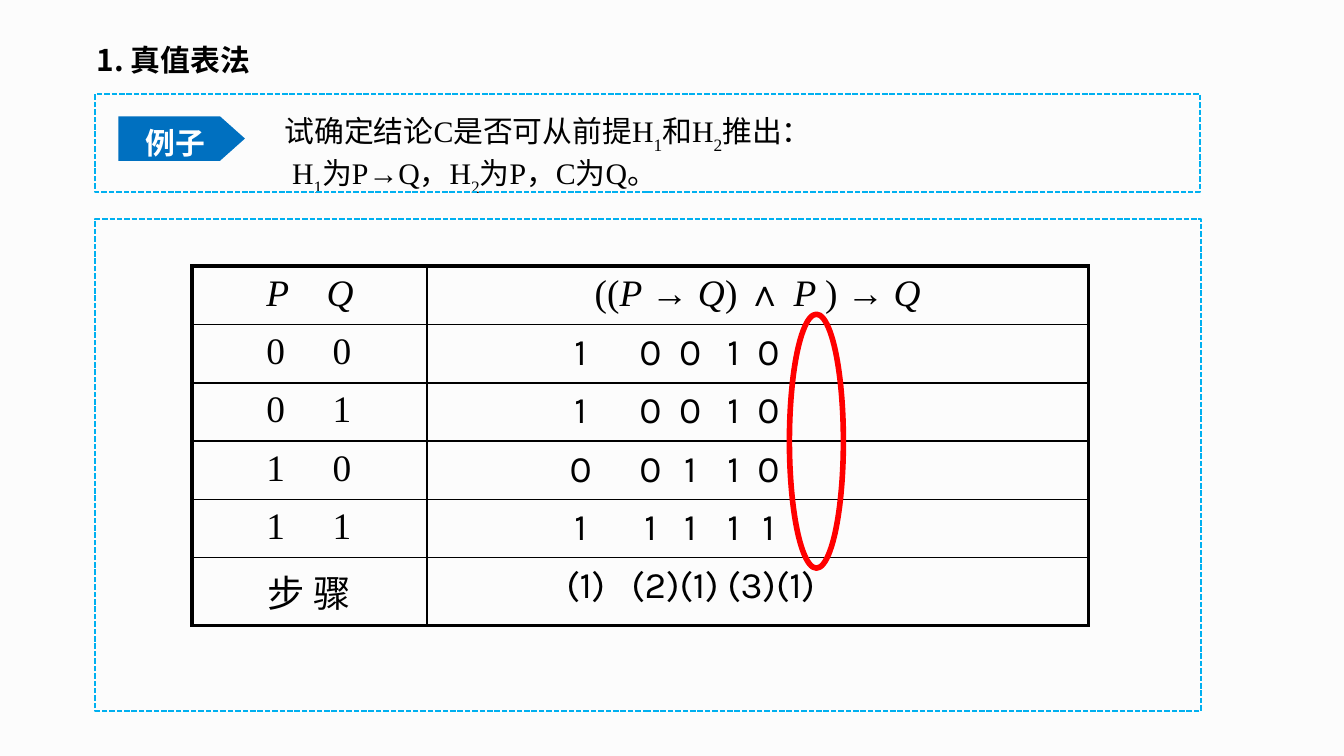
import pptx
import pptx.dml.color
import pptx.enum.dml
import pptx.enum.shapes
import pptx.enum.text
import pptx.oxml
import pptx.oxml.ns
import pptx.util
from lxml import etree
from pptx.util import Cm, Pt

SERIF = "Times New Roman"
SANS = "Noto Sans CJK SC"
DIGITS = "Karla"
SHAPES = pptx.enum.shapes.MSO_SHAPE
CENTER = pptx.enum.text.PP_ALIGN.CENTER
MIDDLE = pptx.enum.text.MSO_ANCHOR.MIDDLE

HEADER_VARIABLES = "\tP\tQ"
FORMULA = [("((", ""), ("P ", "italic"), ("→ ", ""), ("Q", "italic"), (") ∧ ", ""),
           ("P ", "italic"), (") → ", ""), ("Q", "italic")]
TRUTH_ROWS = [("00", "10010"), ("01", "10010"), ("10", "00110"), ("11", "11111")]
VARIABLE_TABS = [("l", 1.15), ("l", 2.4)]
VALUE_TABS = [("ctr", 2.65), ("ctr", 3.97), ("ctr", 4.72), ("ctr", 5.54), ("ctr", 6.2)]
STEP_TABS = [("l", 2.38), ("l", 3.61)]


def color(hex_string):
    """Return the colour for a hex string."""
    return pptx.dml.color.RGBColor.from_string(hex_string)


def add_element(parent, tag, **attributes):
    """Append a DrawingML element to its parent."""
    element = etree.SubElement(parent, pptx.oxml.ns.qn(tag))
    for name, value in attributes.items():
        element.set(name, str(value))
    return element


def set_tabs(paragraph, tabs):
    """Set tab stops, given as alignment and position in centimetres."""
    tab_list = add_element(paragraph._p.get_or_add_pPr(), "a:tabLst")
    for alignment, position in tabs:
        add_element(tab_list, "a:tab", pos=int(Cm(position)), algn=alignment)


def write(paragraph, content, size, font=SERIF, fill="000000", bold=False, tabs=()):
    """Write text, or (text, style) pieces, into a paragraph."""
    if tabs:
        set_tabs(paragraph, tabs)
    paragraph.font.size = Pt(size)
    paragraph.font.name = font
    paragraph.font.bold = bold
    paragraph.font.color.rgb = color(fill)
    add_element(paragraph.font._element, "a:ea", typeface=SANS)
    pieces = [(content, "")] if isinstance(content, str) else content
    for text, style in pieces:
        run = paragraph.add_run()
        run.text = text
        if style == "italic":
            run.font.italic = True
        elif style == "sub":
            run._r.get_or_add_rPr().set("baseline", "-30000")


def add_text(slide, left, top, width, height, lines, **style):
    """Add a text box with one paragraph for each line."""
    frame = slide.shapes.add_textbox(Cm(left), Cm(top), Cm(width), Cm(height)).text_frame
    frame.word_wrap = True
    for index, line in enumerate(lines):
        paragraph = frame.add_paragraph() if index else frame.paragraphs[0]
        write(paragraph, line, 16, **style)
    return frame


def add_outline(slide, kind, left, top, width, height, line, weight, dash=None):
    """Add an unfilled shape with a coloured outline."""
    shape = slide.shapes.add_shape(kind, Cm(left), Cm(top), Cm(width), Cm(height))
    shape.shadow.inherit = False
    shape.fill.background()
    shape.line.color.rgb = color(line)
    shape.line.width = Pt(weight)
    if dash:
        shape.line.dash_style = dash


def add_tag(slide, left, top, width, height, text):
    """Add the blue arrow-shaped label."""
    shape = slide.shapes.add_shape(SHAPES.PENTAGON, Cm(left), Cm(top), Cm(width), Cm(height))
    shape.adjustments[0] = 0.56
    shape.shadow.inherit = False
    shape.fill.solid()
    shape.fill.fore_color.rgb = color("0070C0")
    shape.line.fill.background()
    shape.text_frame.vertical_anchor = MIDDLE
    paragraph = shape.text_frame.paragraphs[0]
    paragraph.alignment = CENTER
    paragraph.line_spacing = 1.2
    write(paragraph, text, 16, fill="FFFFFF", bold=True)


def set_borders(cell, weights):
    """Draw black cell borders with weights for left, right, top and bottom."""
    properties = cell._tc.get_or_add_tcPr()
    for index, (side, weight) in enumerate(zip("LRTB", weights)):
        line = add_element(properties, "a:ln" + side, w=int(Pt(weight)))
        fill = add_element(line, "a:solidFill")
        add_element(fill, "a:srgbClr", val="000000")
        properties.insert(index, line)


def fill_cell(cell, content, **style):
    """Write one table cell, centred unless it has tab stops."""
    cell.fill.background()
    paragraph = cell.text_frame.paragraphs[0]
    paragraph.space_before = Pt(4)
    if not style.get("tabs"):
        paragraph.alignment = CENTER
    write(paragraph, content, 20, **style)


def add_truth_table(slide):
    """Add the truth table with a heavy frame and thin inner lines."""
    heights = [1.02] + [1.09] * 4 + [1.28]
    table = slide.shapes.add_table(6, 2, Cm(3.63), Cm(5.03), Cm(16.94), Cm(sum(heights))).table
    table.first_row = table.horz_banding = False
    for column, width in zip(table.columns, (4.44, 12.5)):
        column.width = Cm(width)
    for row, height in zip(table.rows, heights):
        row.height = Cm(height)

    header_tabs = [VARIABLE_TABS[0], ("l", 2.29)]
    fill_cell(table.cell(0, 0), [(HEADER_VARIABLES, "italic")], tabs=header_tabs)
    fill_cell(table.cell(0, 1), FORMULA)
    for row, (variables, values) in enumerate(TRUTH_ROWS, 1):
        fill_cell(table.cell(row, 0), "\t" + "\t".join(variables), tabs=VARIABLE_TABS)
        fill_cell(table.cell(row, 1), "\t" + "\t".join(values), font=DIGITS, tabs=VALUE_TABS)
    fill_cell(table.cell(5, 0), "步 骤")
    fill_cell(table.cell(5, 1), "\t(1)\t(2)(1) (3)(1)", font=DIGITS, tabs=STEP_TABS)

    for row in range(6):
        for column in range(2):
            outer = (column == 0, column == 1, row == 0, row == 5)
            set_borders(table.cell(row, column), [2.25 if edge else 1 for edge in outer])


def main():
    """Build and save the slide."""
    presentation = pptx.Presentation()
    presentation.slide_width, presentation.slide_height = Cm(25.4), Cm(14.29)
    slide = presentation.slides.add_slide(presentation.slide_layouts[6])
    slide.background.fill.solid()
    slide.background.fill.fore_color.rgb = color("FCFCFC")

    question = [
        [("试确定结论C是否可从前提H", ""), ("1", "sub"), ("和H", ""), ("2", "sub"), ("推出：", "")],
        [(" H", ""), ("1", "sub"), ("为P→Q，H", ""), ("2", "sub"), ("为P，C为Q。", "")],
    ]
    frame = add_text(slide, 5.18, 2.03, 17.98, 1.09, question)
    frame.margin_left = frame.margin_right = Cm(0.2)
    frame.margin_top = frame.margin_bottom = Cm(0.1)

    dash = pptx.enum.dml.MSO_LINE.SQUARE_DOT
    add_outline(slide, SHAPES.RECTANGLE, 1.8, 1.78, 20.88, 1.85, "00B0F0", 1, dash)
    add_tag(slide, 2.24, 2.2, 2.39, 0.84, "例子")
    add_outline(slide, SHAPES.RECTANGLE, 1.8, 4.14, 20.9, 9.3, "00B0F0", 1, dash)
    add_truth_table(slide)
    add_outline(slide, SHAPES.OVAL, 14.92, 5.94, 1.02, 4.8, "FF0000", 3)
    add_text(slide, 1.58, 0.66, 8.81, 0.94, ["1. 真值表法"], font=SANS, bold=True)
    presentation.save("out.pptx")


main()
